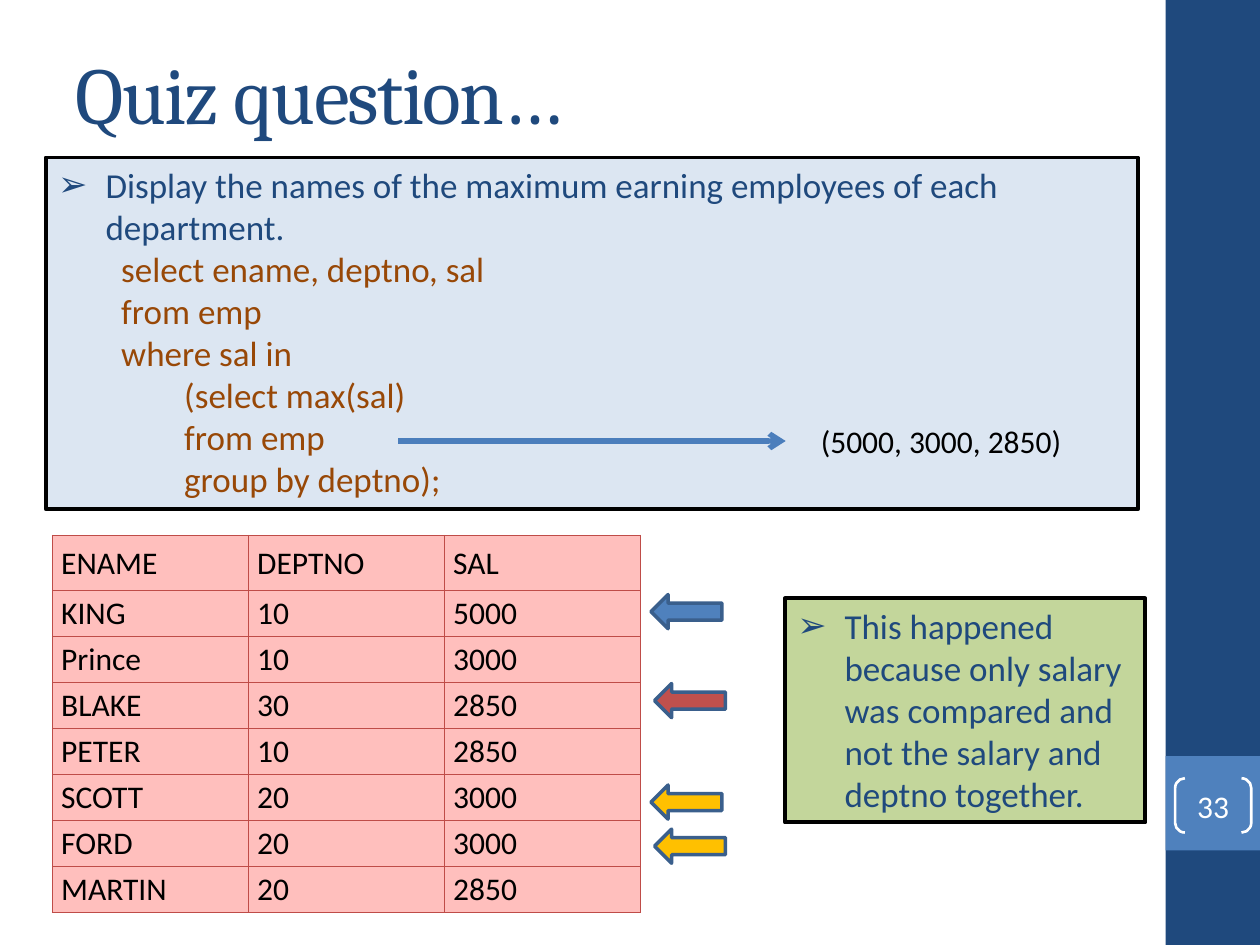
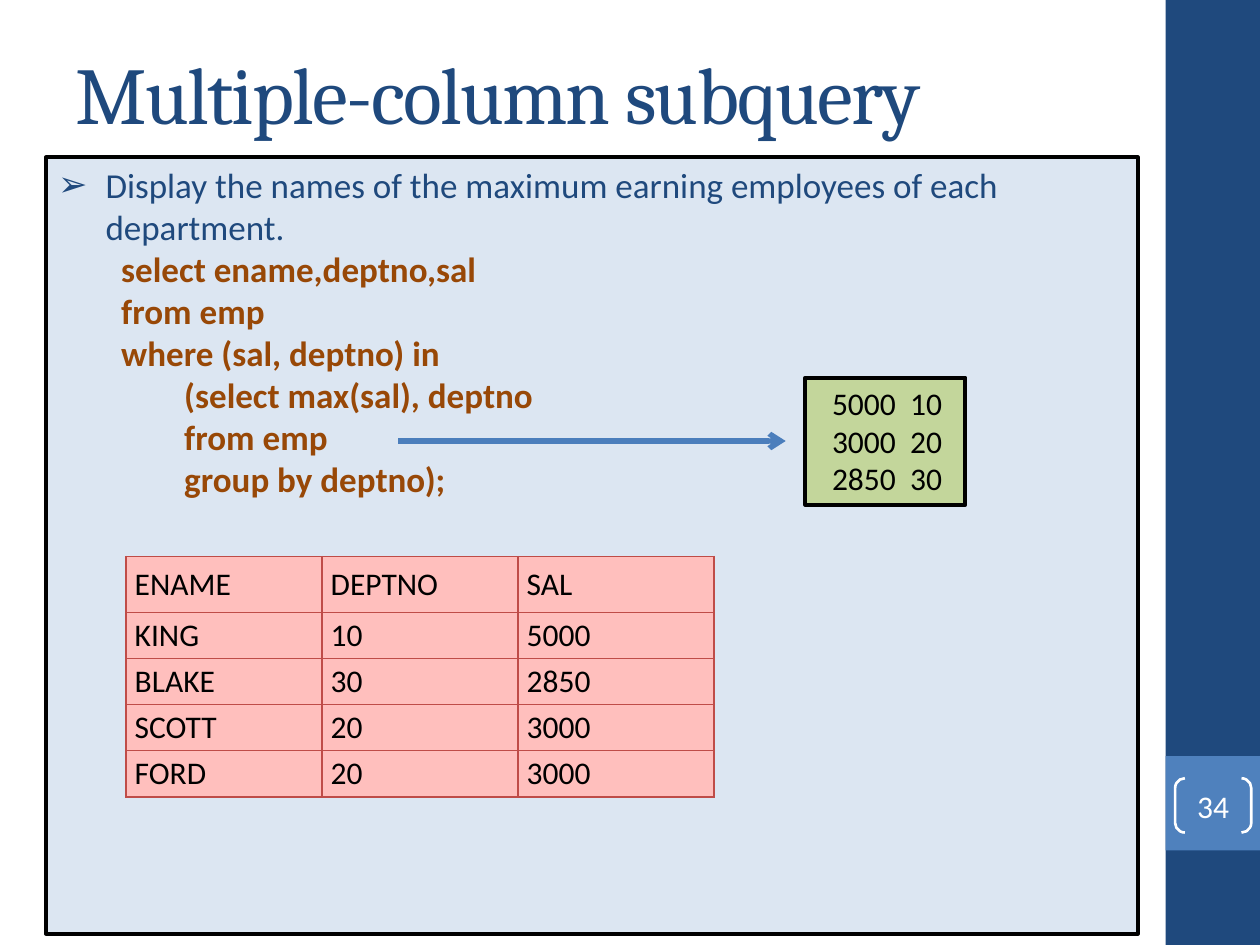
from dataclasses import dataclass
from typing import NamedTuple

from pptx import Presentation
from pptx.dml.color import RGBColor
from pptx.enum.shapes import MSO_CONNECTOR, MSO_SHAPE
from pptx.enum.text import MSO_ANCHOR, PP_ALIGN
from pptx.oxml.ns import qn
from pptx.util import Pt
from lxml.etree import SubElement

NAVY, BLUE, WHITE, BLACK = "1F497D", "4F81BD", "FFFFFF", "000000"
PALE_BLUE, PALE_GREEN, PINK = "DCE6F2", "C3D69B", "FFBFBD"
BROWN, RED, GOLD = "984807", "C0504D", "FFC000"
TABLE_BORDER, CONNECTOR_BLUE, ARROW_OUTLINE = "BF4C48", "4B7EBC", "3A5F8C"
BODY_FONT, TITLE_FONT = "Calibri", "Cambria"
BULLET_INDENT = 27
SIDEBAR_LEFT, SIDEBAR_WIDTH = 666, 54
COLUMN_WIDTH, HEADER_HEIGHT, ROW_HEIGHT = 112, 31.2, 26.3

QUESTION = "Display the names of the maximum earning employees of each department."
HEADER = ("ENAME", "DEPTNO", "SAL")


class Frame(NamedTuple):
    left: float
    top: float
    width: float
    height: float

    def lengths(self) -> list:
        return [Pt(value) for value in self]


class TextLine(NamedTuple):
    text: str
    size: float = 20
    color: str = NAVY
    indent: float = 0
    bold: bool = False
    bullet: bool = False


@dataclass
class Box:
    frame: Frame
    fill: str
    lines: list[TextLine]


class RowArrow(NamedTuple):
    left: float
    top: float
    fill: str


def color_of(hex_color: str) -> RGBColor:
    return RGBColor.from_string(hex_color)


def format_runs(paragraph, size: float, color: str, name: str = BODY_FONT, bold: bool = False) -> None:
    for run in paragraph.runs:
        run.font.size = Pt(size)
        run.font.name = name
        run.font.bold = bold
        run.font.color.rgb = color_of(color)


def set_character_spacing(run, points: float) -> None:
    run._r.get_or_add_rPr().set("spc", str(round(points * 100)))


def add_preset(slide, kind, frame: Frame, fill: str = "", line: str = "", line_width: float = 1):
    """Add a shadowless shape; an empty fill or line colour means none."""
    shape = slide.shapes.add_shape(kind, *frame.lengths())
    shape.shadow.inherit = False
    if fill:
        shape.fill.solid()
        shape.fill.fore_color.rgb = color_of(fill)
    else:
        shape.fill.background()
    if line:
        shape.line.color.rgb = color_of(line)
        shape.line.width = Pt(line_width)
    else:
        shape.line.fill.background()
    return shape


def write_lines(text_frame, lines: list[TextLine]) -> None:
    text_frame.word_wrap = True
    text_frame.vertical_anchor = MSO_ANCHOR.TOP
    text_frame.text = "\n".join(line.text for line in lines)
    for paragraph, line in zip(text_frame.paragraphs, lines):
        paragraph.alignment = PP_ALIGN.LEFT
        format_runs(paragraph, line.size, line.color, bold=line.bold)
        properties = paragraph._p.get_or_add_pPr()
        properties.set("marL", str(Pt(BULLET_INDENT if line.bullet else line.indent)))
        properties.set("indent", str(Pt(-BULLET_INDENT if line.bullet else 0)))
        if line.bullet:
            SubElement(properties, qn("a:buFont"), typeface=BODY_FONT)
            SubElement(properties, qn("a:buChar"), char="➢")


def add_box(slide, box: Box):
    shape = add_preset(slide, MSO_SHAPE.RECTANGLE, box.frame, box.fill, BLACK, 2.25)
    write_lines(shape.text_frame, box.lines)
    return shape


def widen_gap(paragraph, line: TextLine, extra: float) -> None:
    """Stretch the space between the two values of a line."""
    first, second = line.text.split()
    paragraph.runs[0].text = first
    gap = paragraph.add_run()
    gap.text = " "
    paragraph.add_run().text = second
    format_runs(paragraph, line.size, line.color)
    set_character_spacing(gap, extra)


def add_base_slide(presentation, title: str, number: int):
    """Add a slide with its title, sidebar and bracketed page number."""
    slide = presentation.slides.add_slide(presentation.slide_layouts[5])
    for top, height, fill in ((0, 540, NAVY), (432, 54, BLUE)):
        add_preset(slide, MSO_SHAPE.RECTANGLE, Frame(SIDEBAR_LEFT, top, SIDEBAR_WIDTH, height), fill)
    bracket = add_preset(slide, MSO_SHAPE.DOUBLE_BRACKET, Frame(671.5, 444.75, 43.5, 31), "", WHITE, 1.5)
    bracket.adjustments[0] = 0.18
    text_frame = bracket.text_frame
    text_frame.margin_left = text_frame.margin_right = 0
    text_frame.margin_top = text_frame.margin_bottom = 0
    text_frame.vertical_anchor = MSO_ANCHOR.MIDDLE
    text_frame.text = str(number)
    text_frame.paragraphs[0].alignment = PP_ALIGN.CENTER
    format_runs(text_frame.paragraphs[0], 18, WHITE)

    heading = slide.shapes.title
    heading.left, heading.top, heading.width, heading.height = Frame(36, 21.6, 600, 62.6).lengths()
    heading.text_frame.text = title
    heading.text_frame.vertical_anchor = MSO_ANCHOR.MIDDLE
    paragraph = heading.text_frame.paragraphs[0]
    paragraph.alignment = PP_ALIGN.LEFT
    format_runs(paragraph, 46, NAVY, TITLE_FONT)
    set_character_spacing(paragraph.runs[0], -1)
    return slide


def add_query(slide, height: float, outer: list[str], inner: list[str], bold: bool = False) -> None:
    """Add the question box with its SQL and the arrow to the subquery's result."""
    lines = [TextLine(QUESTION, bullet=True)]
    lines += [TextLine(text, color=BROWN, indent=36, bold=bold) for text in outer]
    lines += [TextLine(text, color=BROWN, indent=72, bold=bold) for text in inner]
    add_box(slide, Box(Frame(26.2, 90, 624, height), PALE_BLUE, lines))
    connector = slide.shapes.add_connector(MSO_CONNECTOR.STRAIGHT, Pt(227.5), Pt(252), Pt(449), Pt(252))
    connector.line.color.rgb = color_of(CONNECTOR_BLUE)
    connector.line.width = Pt(3)
    SubElement(connector.line._get_or_add_ln(), qn("a:tailEnd"), type="arrow")
    SubElement(connector._element.spPr, qn("a:effectLst"))


def add_borders(cell) -> None:
    properties = cell._tc.get_or_add_tcPr()
    for side in ("lnL", "lnR", "lnT", "lnB"):
        border = SubElement(properties, qn(f"a:{side}"), w=str(Pt(0.75)))
        fill = SubElement(border, qn("a:solidFill"))
        SubElement(fill, qn("a:srgbClr"), val=TABLE_BORDER)


def add_employees(slide, left: float, top: float, employees: list[tuple[str, str, str]]) -> None:
    rows = [HEADER, *employees]
    height = HEADER_HEIGHT + ROW_HEIGHT * len(employees)
    frame = Frame(left, top, COLUMN_WIDTH * len(HEADER), height)
    table = slide.shapes.add_table(len(rows), len(HEADER), *frame.lengths()).table
    table.first_row = table.horz_banding = False
    for column in table.columns:
        column.width = Pt(COLUMN_WIDTH)
    for row_index, values in enumerate(rows):
        is_header = row_index == 0
        table.rows[row_index].height = Pt(HEADER_HEIGHT if is_header else ROW_HEIGHT)
        for column_index, value in enumerate(values):
            cell = table.cell(row_index, column_index)
            cell.text = value
            cell.margin_left = cell.margin_right = Pt(5)
            cell.margin_top = cell.margin_bottom = Pt(5 if is_header else 2.2)
            cell.vertical_anchor = MSO_ANCHOR.BOTTOM if is_header else MSO_ANCHOR.MIDDLE
            format_runs(cell.text_frame.paragraphs[0], 18, BLACK)
            add_borders(cell)
            cell.fill.solid()
            cell.fill.fore_color.rgb = color_of(PINK)


def build_quiz_slide(presentation) -> None:
    slide = add_base_slide(presentation, "Quiz question…", 33)
    add_query(
        slide, 201,
        ["select ename, deptno, sal", "from emp", "where sal in"],
        ["(select max(sal)", "from emp", "group by deptno);"],
    )
    result = slide.shapes.add_textbox(*Frame(462, 237.6, 152, 29).lengths())
    write_lines(result.text_frame, [TextLine("(5000, 3000, 2850)", 18, BLACK)])
    add_employees(slide, 30, 306, [
        ("KING", "10", "5000"),
        ("Prince", "10", "3000"),
        ("BLAKE", "30", "2850"),
        ("PETER", "10", "2850"),
        ("SCOTT", "20", "3000"),
        ("FORD", "20", "3000"),
        ("MARTIN", "20", "2850"),
    ])
    reason = "This happened because only salary was compared and not the salary and deptno together."
    add_box(slide, Box(Frame(448.5, 342, 206, 128), PALE_GREEN, [TextLine(reason, bullet=True)]))
    for arrow in (
        RowArrow(372, 339.8, BLUE),
        RowArrow(372, 448.6, GOLD),
        RowArrow(374, 473.8, GOLD),
        RowArrow(374, 390.6, RED),
    ):
        frame = Frame(arrow.left, arrow.top, 40.5, 19.5)
        add_preset(slide, MSO_SHAPE.LEFT_ARROW, frame, arrow.fill, ARROW_OUTLINE, 2)


def build_subquery_slide(presentation) -> None:
    slide = add_base_slide(presentation, "Multiple-column subquery", 34)
    add_query(
        slide, 443.5,
        ["select ename,deptno,sal", "from emp", "where (sal, deptno) in"],
        ["(select max(sal), deptno", "from emp", "group by deptno);"],
        bold=True,
    )
    pairs = [TextLine(text, 18, BLACK, indent=8.2) for text in ("5000 10", "3000 20", "2850 30")]
    result = add_box(slide, Box(Frame(460.2, 215.8, 91.5, 72.7), PALE_GREEN, pairs))
    for paragraph, pair in zip(result.text_frame.paragraphs, pairs):
        widen_gap(paragraph, pair, 4.1)
    add_employees(slide, 72, 318, [
        ("KING", "10", "5000"),
        ("BLAKE", "30", "2850"),
        ("SCOTT", "20", "3000"),
        ("FORD", "20", "3000"),
    ])


def main() -> None:
    presentation = Presentation()
    presentation.slide_width, presentation.slide_height = Pt(720), Pt(540)
    build_quiz_slide(presentation)
    build_subquery_slide(presentation)
    presentation.save("out.pptx")


if __name__ == "__main__":
    main()
